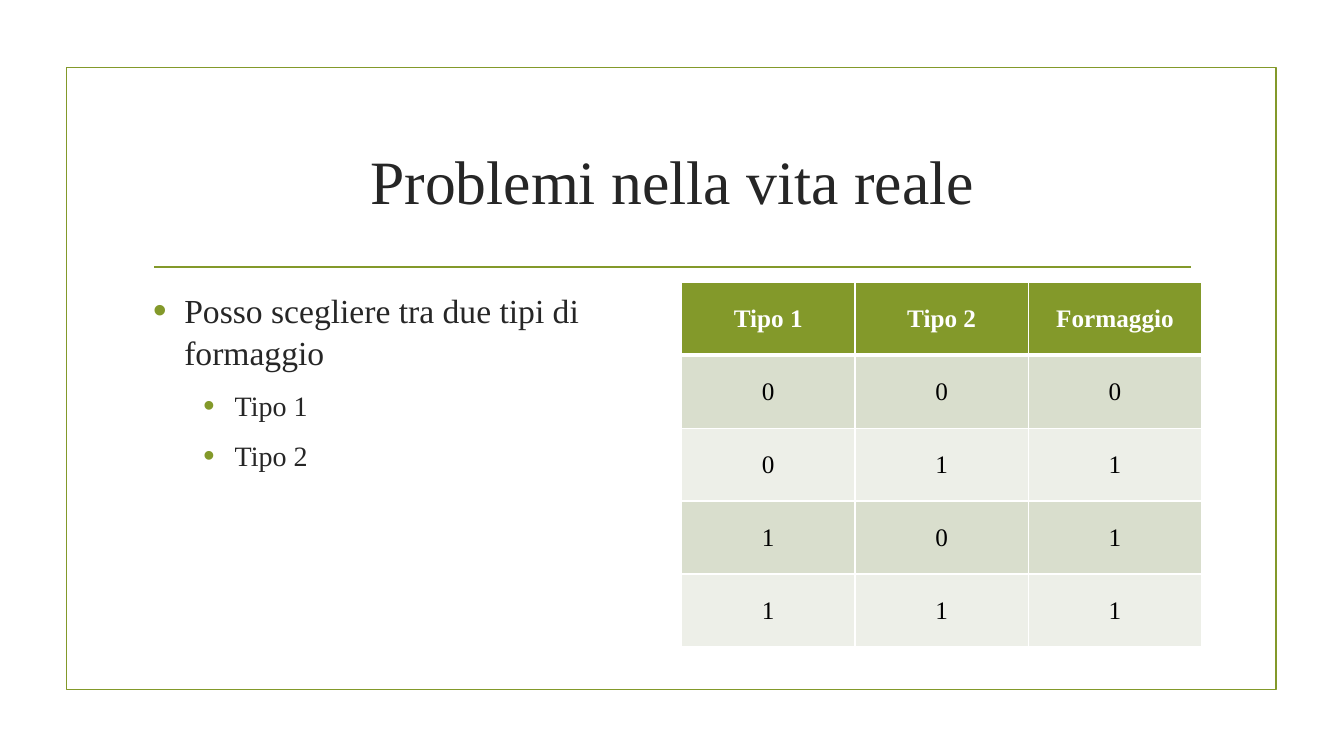
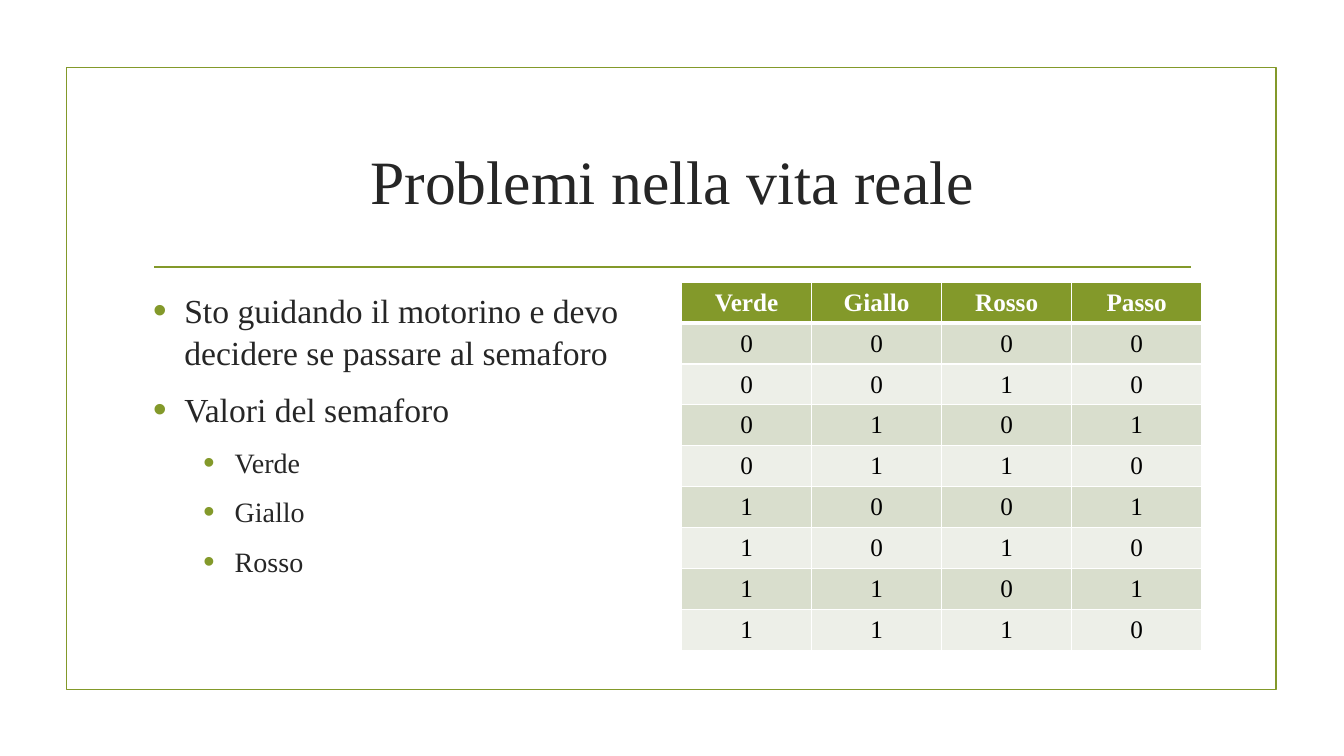
from itertools import product

from lxml import etree
from pptx import Presentation
from pptx.dml.color import RGBColor
from pptx.enum import shapes, text
from pptx.oxml import ns
from pptx.util import Inches, Pt

COLOURS = {
    "olive": "83992A",
    "ink": "262626",
    "black": "000000",
    "white": "FFFFFF",
    "band_dark": "D9DECD",
    "band_light": "EDEFE8",
}
RGB = {name: RGBColor.from_string(value) for name, value in COLOURS.items()}
FONT = "Times New Roman"
TITLE = "Problemi nella vita reale"
LEFT, TOP = 1.42, 2.8
TABLE_LEFT, COLUMN_WIDTH = 6.76, 5.16

# Each bullet is (level, text); the last table column is computed from the others.
PAGES = [
    {
        "bullets": [
            (0, "Posso scegliere tra due tipi di formaggio"),
            (1, "Tipo 1"),
            (1, "Tipo 2"),
        ],
        "header": ["Tipo 1", "Tipo 2", "Formaggio"],
        "result": lambda first, second: first or second,
        "height": 3.62,
    },
    {
        "bullets": [
            (0, "Sto guidando il motorino e devo decidere se passare al semaforo"),
            (0, "Valori del semaforo"),
            (1, "Verde"),
            (1, "Giallo"),
            (1, "Rosso"),
        ],
        "header": ["Verde", "Giallo", "Rosso", "Passo"],
        "result": lambda green, yellow, red: (green or yellow) and not red,
        "height": 3.65,
    },
]


def add_bullet(para, level):
    props = para._p.get_or_add_pPr()
    props.set("marL", str(Inches(0.31 + 0.5 * level)))
    props.set("indent", str(Inches(-0.31)))
    colour = etree.SubElement(props, ns.qn("a:buClr"))
    etree.SubElement(colour, ns.qn("a:srgbClr"), val=COLOURS["olive"])
    etree.SubElement(props, ns.qn("a:buSzPct"), val="115000")
    etree.SubElement(props, ns.qn("a:buFont"), typeface="Arial")
    etree.SubElement(props, ns.qn("a:buChar"), char="•")


def set_borders(cell, top, bottom):
    """Draw white cell borders; top and bottom are widths in points."""
    props = cell._tc.get_or_add_tcPr()
    widths = {"lnL": 1, "lnR": 1, "lnT": top, "lnB": bottom}
    for index, (side, width) in enumerate(widths.items()):
        line = etree.Element(ns.qn("a:" + side), w=str(Pt(width)))
        fill = etree.SubElement(line, ns.qn("a:solidFill"))
        etree.SubElement(fill, ns.qn("a:srgbClr"), val=COLOURS["white"])
        props.insert(index, line)


deck = Presentation()
deck.slide_width, deck.slide_height = Inches(13.33), Inches(7.5)

for content in PAGES:
    page = deck.slides.add_slide(deck.slide_layouts[5])

    # Frame and rule
    frame = page.shapes.add_shape(
        shapes.MSO_SHAPE.RECTANGLE, Inches(0.66), Inches(0.67), Inches(12), Inches(6.17)
    )
    frame.shadow.inherit = False
    frame.fill.background()
    rule = page.shapes.add_connector(
        shapes.MSO_CONNECTOR.STRAIGHT, Inches(1.53), Inches(2.65), Inches(11.81), Inches(2.65)
    )
    for outline in (frame.line, rule.line):
        outline.color.rgb = RGB["olive"]
        outline.width = Pt(1.25)
    etree.SubElement(rule._element.spPr, ns.qn("a:effectLst"))

    # Title
    title = page.shapes.title
    title.left, title.top = Inches(LEFT), Inches(1.07)
    title.width, title.height = Inches(10.5), Inches(1.43)
    title.text_frame.text = TITLE
    title.text_frame.vertical_anchor = text.MSO_ANCHOR.MIDDLE
    para = title.text_frame.paragraphs[0]
    para.alignment = text.PP_ALIGN.CENTER
    font = para.runs[0].font
    font.name, font.size, font.color.rgb = FONT, Pt(44), RGB["ink"]

    # Bullets
    box = page.shapes.add_textbox(
        Inches(LEFT), Inches(TOP), Inches(COLUMN_WIDTH), Inches(3.62)
    )
    box.text_frame.word_wrap = True
    box.text_frame.text = "\n".join(wording for _, wording in content["bullets"])
    for index, para in enumerate(box.text_frame.paragraphs):
        level = content["bullets"][index][0]
        para.level = level
        add_bullet(para, level)
        para.line_spacing = 1.06
        para.space_before = Pt(4 if index else 0)
        para.space_after = Pt(6)
        font = para.runs[0].font
        font.name, font.size, font.color.rgb = FONT, Pt(20 if level else 24), RGB["ink"]

    # Truth table
    header = content["header"]
    rows = [header]
    for inputs in product((0, 1), repeat=len(header) - 1):
        rows.append([*inputs, int(content["result"](*inputs))])
    table = page.shapes.add_table(
        len(rows), len(header), Inches(TABLE_LEFT), Inches(TOP),
        Inches(COLUMN_WIDTH), Inches(content["height"]),
    ).table
    for row_index, row in enumerate(rows):
        is_header = row_index == 0
        band = "olive" if is_header else "band_dark" if row_index % 2 else "band_light"
        for column_index, value in enumerate(row):
            cell = table.cell(row_index, column_index)
            cell.fill.solid()
            cell.fill.fore_color.rgb = RGB[band]
            set_borders(cell, 3 if row_index == 1 else 1, 3 if is_header else 1)
            cell.vertical_anchor = text.MSO_ANCHOR.MIDDLE
            cell.text_frame.text = str(value)
            para = cell.text_frame.paragraphs[0]
            para.alignment = text.PP_ALIGN.CENTER
            font = para.runs[0].font
            font.name, font.size, font.bold = FONT, Pt(18), is_header
            font.color.rgb = RGB["white" if is_header else "black"]

deck.save("out.pptx")
